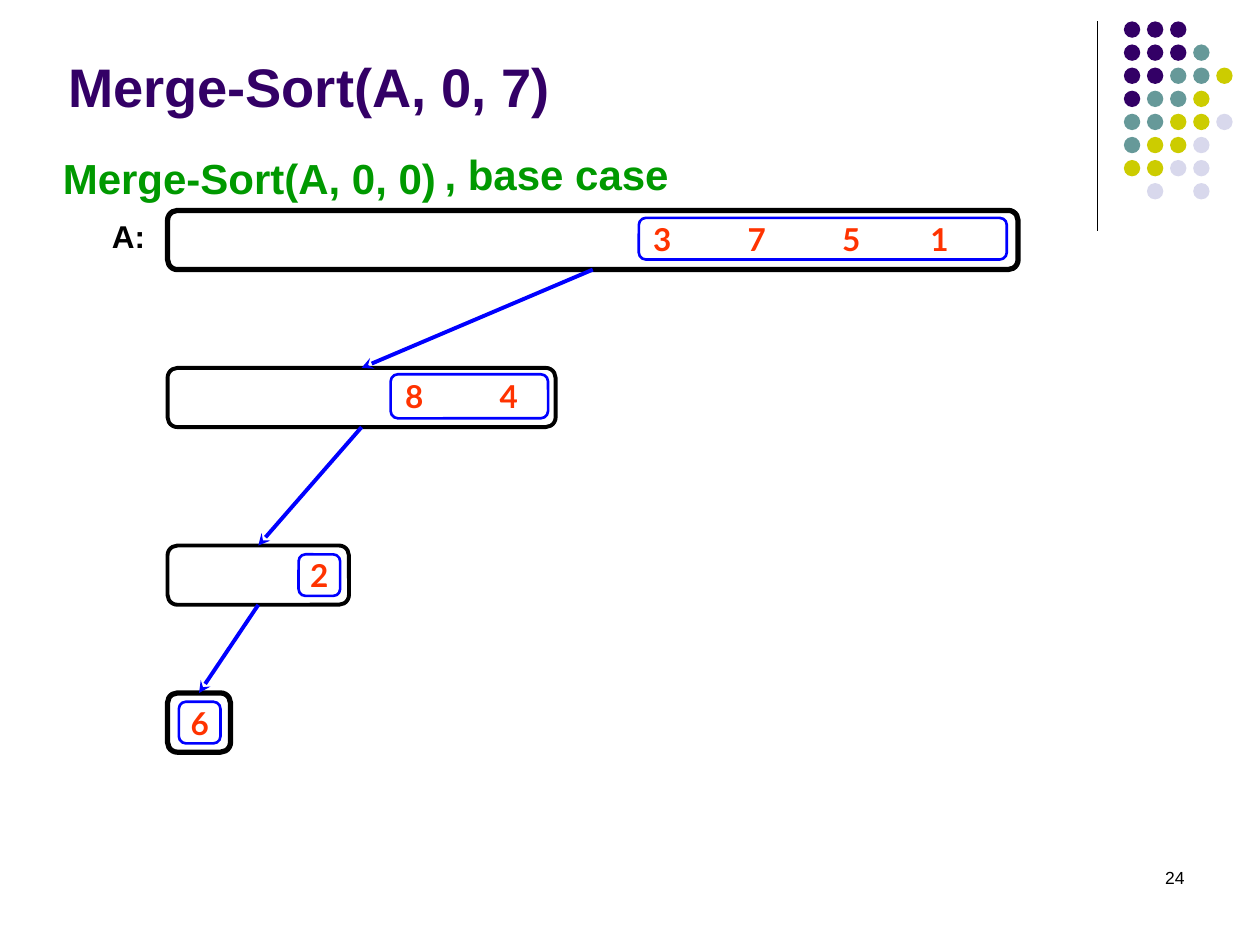
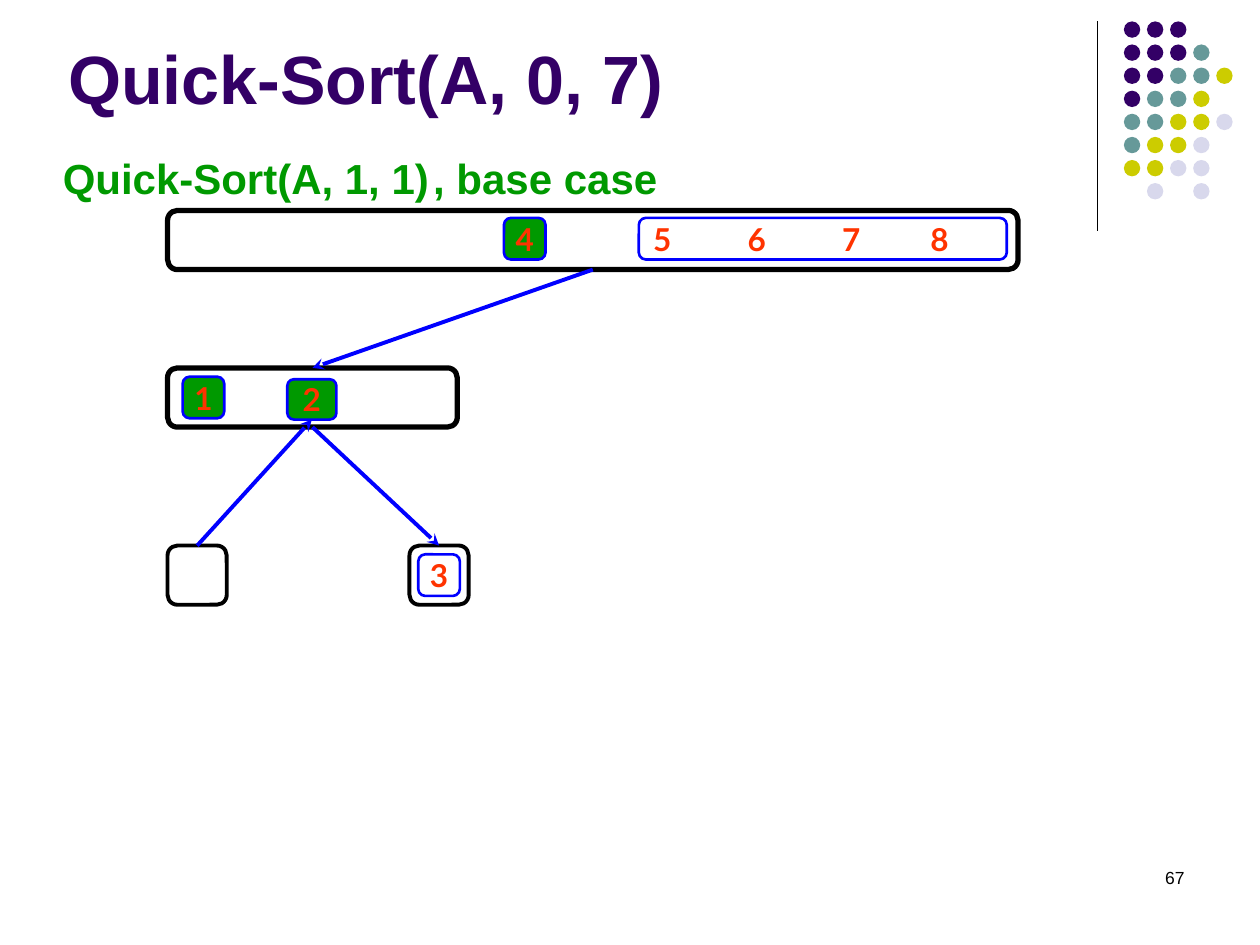
from dataclasses import dataclass

from lxml import etree
from pptx import Presentation
from pptx.dml.color import RGBColor
from pptx.enum.shapes import MSO_CONNECTOR as Connector, MSO_SHAPE as Shape
from pptx.enum.text import MSO_ANCHOR as Anchor, MSO_AUTO_SIZE as AutoSize, PP_ALIGN as Align
from pptx.oxml.ns import qn
from pptx.util import Inches, Pt


@dataclass(frozen=True)
class Theme:
    purple: str = "330066"
    teal: str = "669999"
    olive: str = "CCCC00"
    lilac: str = "D8D8EC"
    black: str = "000000"
    blue: str = "0000FF"
    green: str = "009900"
    orange: str = "FF3300"
    text_font: str = "Arial"
    digit_font: str = "Lato"
    call_size: int = 24
    label_size: int = 18
    number_size: int = 10
    thick: float = 3
    medium: float = 2.25
    thin: float = 1.5
    hairline: float = 0.75


THEME = Theme()
TITLE_ONLY = 5
TOP, BOTTOM = 0, 2
CHIP_SIDE = 0.33
ROW_LEFT, ROW_HEIGHT = 1.33, 0.47
ROW_TOPS = (1.67, 2.92, 4.33, 5.5)
DIGIT_TABS = (0.75, 1.5, 2.2)
DOT_SIDE, DOT_PITCH = 0.13, 0.55 / 3
DOT_ROWS = ("PPP", "PPPT", "PPTTO", "PTTO", "TTOOL", "TOOL", "OOLL", " L L")
DOT_COLORS = {"P": THEME.purple, "T": THEME.teal, "O": THEME.olive, "L": THEME.lilac}


def rgb(color):
    return RGBColor.from_string(color)


def write(shape, text, size=THEME.label_size, color=THEME.black, font=THEME.text_font,
          bold=True, align=Align.LEFT, anchor=Anchor.TOP, wrap=True, inset=0.1, tabs=()):
    frame = shape.text_frame
    frame.word_wrap = wrap
    frame.auto_size = AutoSize.NONE
    frame.vertical_anchor = anchor
    frame.margin_left = frame.margin_right = Inches(inset)
    frame.margin_top = frame.margin_bottom = Inches(inset / 2)
    para = frame.paragraphs[0]
    para.alignment = align
    if tabs:
        tab_list = etree.SubElement(para._p.get_or_add_pPr(), qn("a:tabLst"))
        for stop in tabs:
            etree.SubElement(tab_list, qn("a:tab"), pos=str(Inches(stop)), algn="l")
    span = para.add_run()
    span.text = text
    span.font.name = font
    span.font.size = Pt(size)
    span.font.bold = bold
    span.font.color.rgb = rgb(color)


def add_text(page, left, top, width, height, text, **style):
    box = page.shapes.add_textbox(*map(Inches, (left, top, width, height)))
    write(box, text, **style)


def add_line(page, start, end, color, weight):
    line = page.shapes.add_connector(Connector.STRAIGHT, *map(Inches, (*start, *end)))
    line.line.color.rgb = rgb(color)
    line.line.width = Pt(weight)
    etree.SubElement(line._element.spPr, qn("a:effectLst"))
    return line


def add_arrow(page, source, target, target_side=TOP, source_side=BOTTOM):
    arrow = add_line(page, (0, 0), (0, 0), THEME.blue, THEME.medium)
    arrow.begin_connect(source, source_side)
    arrow.end_connect(target, target_side)
    etree.SubElement(arrow.line._get_or_add_ln(), qn("a:tailEnd"), type="stealth")


def add_outline(page, left, top, width, height, color, weight, fill=None):
    """Draw a rounded rectangle; the lengths are already in EMU."""
    box = page.shapes.add_shape(Shape.ROUNDED_RECTANGLE, left, top, width, height)
    box.shadow.inherit = False
    box.line.color.rgb = rgb(color)
    box.line.width = Pt(weight)
    if fill:
        box.fill.solid()
        box.fill.fore_color.rgb = rgb(fill)
    else:
        box.fill.background()
    return box


def add_row(page, level, width, weight=THEME.medium, left=ROW_LEFT):
    """Draw the array box at one recursion level."""
    return add_outline(page, Inches(left), Inches(ROW_TOPS[level]), Inches(width),
                       Inches(ROW_HEIGHT), THEME.black, weight)


def add_chip(page, row, digits, dx, dy=0.07, width=CHIP_SIDE, height=CHIP_SIDE, fill=None):
    """Draw a blue box of digits, offset from the corner of its row."""
    chip = add_outline(page, row.left + Inches(dx), row.top + Inches(dy), Inches(width),
                       Inches(height), THEME.blue, THEME.thin, fill)
    several = len(digits) > 1
    write(chip, "\t".join(digits), color=THEME.orange, font=THEME.digit_font,
          anchor=Anchor.MIDDLE, align=Align.LEFT if several else Align.CENTER,
          inset=0.1 if several else 0, tabs=DIGIT_TABS[:len(digits) - 1])
    return chip


def add_dots(page, left, top):
    group = page.shapes.add_group_shape()
    for row, marks in enumerate(DOT_ROWS):
        for column, mark in enumerate(marks):
            if mark == " ":
                continue
            dot = group.shapes.add_shape(
                Shape.OVAL, Inches(left + column * DOT_PITCH), Inches(top + row * DOT_PITCH),
                Inches(DOT_SIDE), Inches(DOT_SIDE))
            dot.shadow.inherit = False
            dot.fill.solid()
            dot.fill.fore_color.rgb = rgb(DOT_COLORS[mark])
            dot.line.fill.background()


def add_page(deck, title, title_size, number):
    """Add a slide with the shared title, ornament and slide number."""
    page = deck.slides.add_slide(deck.slide_layouts[TITLE_ONLY])
    add_line(page, (8.71, 0.17), (8.71, 1.83), THEME.black, THEME.hairline)
    add_dots(page, 8.92, 0.17)
    heading = page.shapes.title
    heading.left, heading.top, heading.width, heading.height = map(
        Inches, (0.44, 0.35, 8.25, 0.64))
    write(heading, title, size=title_size, color=THEME.purple, anchor=Anchor.BOTTOM)
    add_text(page, 7.17, 6.83, 2.33, 0.5, number, size=THEME.number_size,
             bold=False, align=Align.RIGHT)
    return page


def add_call(page, call, width, note_left, note_top):
    """Write the current call and the note beside it."""
    style = dict(size=THEME.call_size, color=THEME.green)
    add_text(page, 0.4, 1.16, width, 0.5, call, **style)
    add_text(page, note_left, note_top, 2.44, 0.5, ", base case", **style)


def build_merge_sort(deck):
    page = add_page(deck, "Merge-Sort(A, 0, 7)", 31, "24")
    add_call(page, "Merge-Sort(A, 0, 0)", 3.56, 3.43, 1.13)
    add_text(page, 0.79, 1.67, 0.46, 0.4, "A:", wrap=False)

    whole = add_row(page, 0, 6.75, THEME.thick)
    half = add_row(page, 1, 3.08)
    quarter = add_row(page, 2, 1.44)
    single = add_row(page, 3, 0.5, THEME.thick)
    for parent, child in ((whole, half), (half, quarter), (quarter, single)):
        add_arrow(page, parent, child)

    add_chip(page, whole, "3751", 3.74, 0.06, width=2.92)
    add_chip(page, half, "84", 1.77, 0.05, width=1.25, height=0.35)
    add_chip(page, quarter, "2", 1.04)
    add_chip(page, single, "6", 0.09)


def build_quick_sort(deck):
    page = add_page(deck, "Quick-Sort(A, 0, 7)", 39, "67")
    add_call(page, "Quick-Sort(A, 1, 1)", 3.17, 3.34, 1.16)

    whole = add_row(page, 0, 6.75, THEME.thick)
    lower = add_row(page, 1, 2.3, THEME.thick)
    empty_leaf = add_row(page, 2, ROW_HEIGHT)
    right_leaf = add_row(page, 2, ROW_HEIGHT, left=3.25)

    add_chip(page, whole, "4", 2.67, 0.06, fill=THEME.green)
    add_chip(page, whole, "5678", 3.74, 0.06, width=2.92)
    add_chip(page, lower, "1", 0.12, fill=THEME.green)
    pivot = add_chip(page, lower, "2", 0.95, 0.09, width=0.39, height=0.32, fill=THEME.green)
    add_chip(page, right_leaf, "3", 0.07)

    add_arrow(page, whole, lower)
    add_arrow(page, lower, right_leaf)
    add_arrow(page, empty_leaf, pivot, target_side=BOTTOM, source_side=TOP)


def main():
    deck = Presentation()
    deck.slide_width, deck.slide_height = Inches(10), Inches(7.5)
    build_merge_sort(deck)
    build_quick_sort(deck)
    deck.save("out.pptx")


if __name__ == "__main__":
    main()
